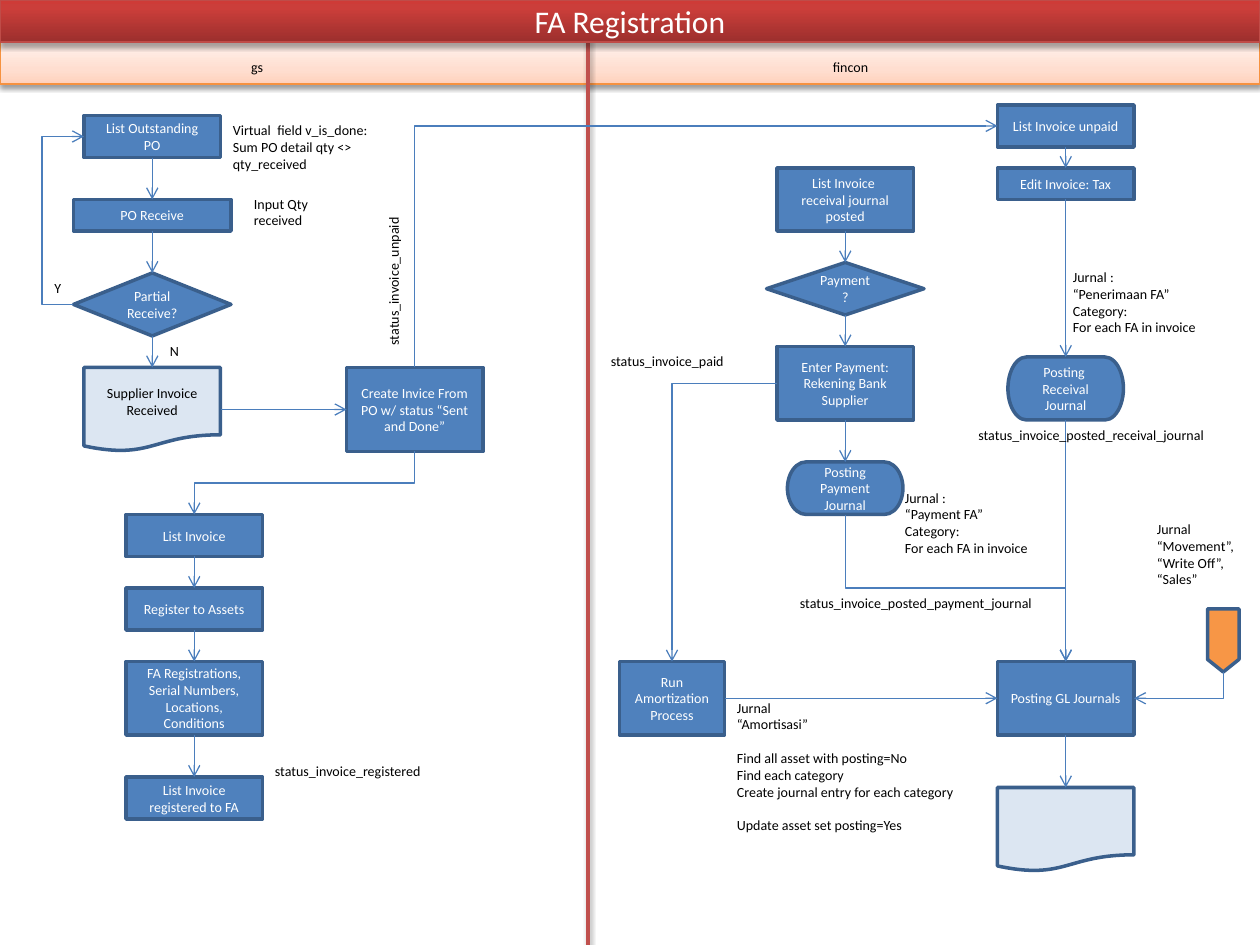
from lxml import etree
from pptx import Presentation
from pptx import util as u
from pptx.dml.color import RGBColor
from pptx.enum import shapes, text
from pptx.oxml import parse_xml
from pptx.oxml.ns import nsdecls, qn

PX = 9525
FONT = "Calibri"
COLORS = {
    "blue": "4F81BD", "edge": "3A5F8C", "arrow": "4B7EBC", "pale": "DCE6F2",
    "orange": "F79646", "red": "C0504D", "white": "FFFFFF", "black": "000000",
    "band_edge": "F69240", "title_edge": "BF4C48",
}
BAND_STOPS = [(0, "FFD2BD"), (35, "FFDED0"), (100, "FFF2ED")]
TITLE_STOPS = [(0, "9C2F2D"), (80, "CB3E3A"), (100, "CE3B37")]
KIND = shapes.MSO_SHAPE
TOP, LEFT, BOTTOM, RIGHT = range(4)

# name: preset, (left, top, width, height), text, fill, text colour
PROCESS, DECISION = KIND.FLOWCHART_PROCESS, KIND.FLOWCHART_DECISION
DOCUMENT, TERMINATOR = KIND.FLOWCHART_DOCUMENT, KIND.FLOWCHART_TERMINATOR
BLUE, PALE = ("blue", "white"), ("pale", "black")
STEPS = {
    "outstanding": (PROCESS, (64, 88, 104, 32), "List Outstanding PO", *BLUE),
    "receive": (PROCESS, (56, 152, 120, 24), "PO Receive", *BLUE),
    "partial": (DECISION, (56, 208, 120, 48), "Partial\nReceive?", *BLUE),
    "supplier": (DOCUMENT, (64, 280, 104, 64), "Supplier Invoice\nReceived", *PALE),
    "create": (PROCESS, (264, 280, 104, 64),
               "Create Invice From PO w/ status “Sent and Done”", *BLUE),
    "invoices": (PROCESS, (96, 392, 104, 32), "List Invoice", *BLUE),
    "register": (PROCESS, (96, 448, 104, 32), "Register to Assets", *BLUE),
    "details": (PROCESS, (96, 504, 104, 56),
                "FA Registrations,\nSerial Numbers,\nLocations, Conditions", *BLUE),
    "registered": (PROCESS, (96, 592, 104, 32), "List Invoice registered to FA", *BLUE),
    "unpaid": (PROCESS, (760, 80, 104, 32), "List Invoice unpaid", *BLUE),
    "tax": (PROCESS, (760, 128, 104, 24), "Edit Invoice: Tax", *BLUE),
    "receival": (TERMINATOR, (768, 272, 88, 48), "Posting  Receival Journal", *BLUE),
    "posted": (PROCESS, (592, 128, 104, 48), "List Invoice  receival journal posted", *BLUE),
    "payment": (DECISION, (584, 200, 120, 40), "Payment?", *BLUE),
    "enter": (PROCESS, (592, 264, 104, 56),
              "Enter Payment:\nRekening Bank Supplier", *BLUE),
    "pay_journal": (TERMINATOR, (600, 352, 88, 40), "Posting Payment Journal", *BLUE),
    "amortize": (PROCESS, (472, 504, 80, 56), "Run Amortization Process", *BLUE),
    "ledger": (PROCESS, (760, 504, 104, 56), "Posting GL Journals", *BLUE),
    "voucher": (DOCUMENT, (760, 600, 104, 64), "", *PALE),
    "offpage": (KIND.FLOWCHART_OFFPAGE_CONNECTOR, (920, 464, 24, 48), "", "orange", "white"),
}
DOWN_CHAINS = [
    ("outstanding", "receive", "partial", "supplier"),
    ("invoices", "register", "details", "registered"),
    ("unpaid", "tax", "receival", "ledger", "voucher"),
    ("posted", "payment", "enter", "pay_journal"),
]
ACROSS = [("supplier", "create"), ("amortize", "ledger")]

# start, end, preset, turn in degrees, flips, bend in thousandths of a percent
ELBOWS = [
    ((56, 232), (64, 104), "bentConnector3", 180, "H", -300000),
    ((592, 292), (512, 504), "bentConnector2", 180, "V", None),
    ((316, 280), (760, 96), "bentConnector2", 90, "HV", None),
    ((932, 512), (864, 532), "bentConnector2", 90, "", None),
    ((644, 392), (812, 504), "bentConnector3", 270, "H", 50000),
    ((316, 344), (148, 392), "bentConnector3", 90, "", 50000),
]

# (left, top, width, height), text, format
CENTRED, ONE_LINE = {"align": text.PP_ALIGN.CENTER}, {"wrap": False}
NOTES = [
    ((32, 40, 328, 23), "gs", CENTRED),
    ((464, 40, 368, 23), "fincon", CENTRED),
    ((120, 256, 26, 23), "N", ONE_LINE),
    ((32, 208, 25, 23), "Y", ONE_LINE),
    ((168, 88, 152, 48),
     "Virtual  field v_is_done:\nSum PO detail qty <> qty_received", {}),
    ((184, 144, 72, 36), "Input Qty received", {}),
    ((241, 202, 118, 23), "status_invoice_unpaid", {"wrap": False, "turn": 270}),
    ((456, 264, 108, 23), "status_invoice_paid", ONE_LINE),
    ((200, 576, 132, 23), "status_invoice_registered", ONE_LINE),
    ((736, 320, 194, 23), "status_invoice_posted_receival_journal", ONE_LINE),
    ((600, 448, 199, 23), "status_invoice_posted_payment_journal", ONE_LINE),
    ((808, 200, 120, 61),
     "Jurnal :\n“Penerimaan FA”\nCategory:\nFor each FA in invoice", {}),
    ((680, 368, 120, 61),
     "Jurnal :\n“Payment FA”\nCategory:\nFor each FA in invoice", {}),
    ((872, 392, 88, 61), "Jurnal\n“Movement”,\n“Write Off”,\n“Sales”", {}),
    ((552, 528, 186, 113),
     "Jurnal\n“Amortisasi”\nFind all asset with posting=No\nFind each category\n"
     "Create journal entry for each category\nUpdate asset set posting=Yes",
     {"wrap": False, "gaps": (2, 5)}),
]


def px(*lengths):
    return [u.Emu(round(length * PX)) for length in lengths]


def rgb(name):
    return RGBColor.from_string(COLORS[name])


def set_line(item, color, points):
    item.line.color.rgb = rgb(color)
    item.line.width = u.Pt(points)


def write(shape, words, color, size=8, align=None, gaps=()):
    """Fill a shape with paragraphs; those numbered in gaps get a line of space above."""
    frame = shape.text_frame
    frame.text = words
    for index, para in enumerate(frame.paragraphs):
        para.alignment = align
        if index in gaps:
            para.space_before = u.Pt(9.6)
        for span in para.runs:
            for key, value in {"size": u.Pt(size), "name": FONT}.items():
                setattr(span.font, key, value)
            span.font.color.rgb = rgb(color)
    return frame


def set_shadow(item, opacity=0, distance=0):
    """Give an item its own effect list, empty when the opacity is 0."""
    properties = item._element.spPr
    for old in properties.findall(qn("a:effectLst")):
        properties.remove(old)
    effects = etree.SubElement(properties, qn("a:effectLst"))
    if opacity:
        effects.append(parse_xml(
            f'<a:outerShdw {nsdecls("a")} blurRad="{u.Pt(3.1)}" dist="{u.Pt(distance)}" '
            f'dir="5400000" rotWithShape="0"><a:srgbClr val="000000">'
            f'<a:alpha val="{opacity * 1000}"/></a:srgbClr></a:outerShdw>'))


def style_band(shape, top, stops, edge, opacity, distance):
    """Make a shape a full-width bar with an upward gradient and a shadow."""
    for key, value in zip(("left", "top", "width", "height"), px(0, top, 960, 32)):
        setattr(shape, key, value)
    shape.fill.solid()
    properties = shape._element.spPr
    marks = "".join(f'<a:gs pos="{pos * 1000}"><a:srgbClr val="{color}"/></a:gs>'
                    for pos, color in stops)
    properties.replace(properties.find(qn("a:solidFill")), parse_xml(
        f'<a:gradFill {nsdecls("a")} rotWithShape="1"><a:gsLst>{marks}</a:gsLst>'
        f'<a:lin ang="16200000" scaled="0"/></a:gradFill>'))
    set_line(shape, edge, 0.75)
    set_shadow(shape, opacity, distance)


def add_step(page, preset, place, words, fill, color):
    shape = page.shapes.add_shape(preset, *px(*place))
    shape.shadow.inherit = False
    shape.fill.solid()
    shape.fill.fore_color.rgb = rgb(fill)
    set_line(shape, "edge", 2)
    if words:
        frame = write(shape, words, color, align=text.PP_ALIGN.CENTER)
        frame.vertical_anchor = text.MSO_ANCHOR.MIDDLE
    return shape


def add_note(page, place, words, wrap=True, turn=0, **layout):
    box = page.shapes.add_textbox(*px(*place))
    frame = write(box, words, "black", **layout)
    frame.word_wrap = wrap
    frame.auto_size = text.MSO_AUTO_SIZE.SHAPE_TO_FIT_TEXT
    box.rotation = turn


def add_arrow(page, start=(0, 0), end=(0, 0)):
    arrow = page.shapes.add_connector(shapes.MSO_CONNECTOR.STRAIGHT, *px(*start, *end))
    set_line(arrow, "arrow", 0.75)
    etree.SubElement(arrow.line._ln, qn("a:tailEnd"), type="arrow")
    set_shadow(arrow)
    return arrow


def link(page, source, out_side, target, in_side):
    arrow = add_arrow(page)
    arrow.begin_connect(source, out_side)
    arrow.end_connect(target, in_side)


def add_elbow(page, start, end, preset, turn, flips, bend):
    """Draw a bent arrow; its frame is laid out before the turn about its centre."""
    arrow = add_arrow(page, start, end)
    width, height = (abs(b - a) for a, b in zip(start, end))
    if turn % 180:
        width, height = height, width
    left = (start[0] + end[0] - width) / 2
    top = (start[1] + end[1] - height) / 2
    for key, value in zip(("left", "top", "width", "height"), px(left, top, width, height)):
        setattr(arrow, key, value)
    frame = arrow._element.spPr.find(qn("a:xfrm"))
    frame.set("rot", str(turn * 60000))
    for axis in "HV":
        frame.set(f"flip{axis}", str(int(axis in flips)))
    outline = arrow._element.spPr.find(qn("a:prstGeom"))
    outline.set("prst", preset)
    if bend is not None:
        guides = outline.find(qn("a:avLst"))
        if guides is None:
            guides = etree.SubElement(outline, qn("a:avLst"))
        etree.SubElement(guides, qn("a:gd"), name="adj1", fmla=f"val {bend}")


def add_lanes(page):
    band = page.shapes.add_shape(KIND.RECTANGLE, *px(0, 32, 960, 32))
    style_band(band, 32, BAND_STOPS, "band_edge", 38, 1.6)
    divider = page.shapes.add_connector(
        shapes.MSO_CONNECTOR.STRAIGHT, *px(448, 0, 448, 720))
    set_line(divider, "red", 2)
    set_shadow(divider, 38, 1.6)


def add_title(page, words):
    title = page.shapes.title
    style_band(title, 0, TITLE_STOPS, "title_edge", 35, 1.8)
    frame = write(title, words, "white", size=18, align=text.PP_ALIGN.CENTER)
    frame.vertical_anchor = text.MSO_ANCHOR.MIDDLE
    frame.auto_size = text.MSO_AUTO_SIZE.NONE
    page.shapes._spTree.append(title._element)  # in front of the lane divider


def main():
    deck = Presentation()
    deck.slide_width, deck.slide_height = px(960, 720)
    page = deck.slides.add_slide(deck.slide_layouts[5])
    add_lanes(page)
    add_title(page, "FA Registration")
    steps = {name: add_step(page, *values) for name, values in STEPS.items()}
    for chain in DOWN_CHAINS:
        for source, target in zip(chain, chain[1:]):
            link(page, steps[source], BOTTOM, steps[target], TOP)
    for source, target in ACROSS:
        link(page, steps[source], RIGHT, steps[target], LEFT)
    for elbow in ELBOWS:
        add_elbow(page, *elbow)
    for place, words, layout in NOTES:
        add_note(page, place, words, **layout)
    deck.save("out.pptx")


if __name__ == "__main__":
    main()
